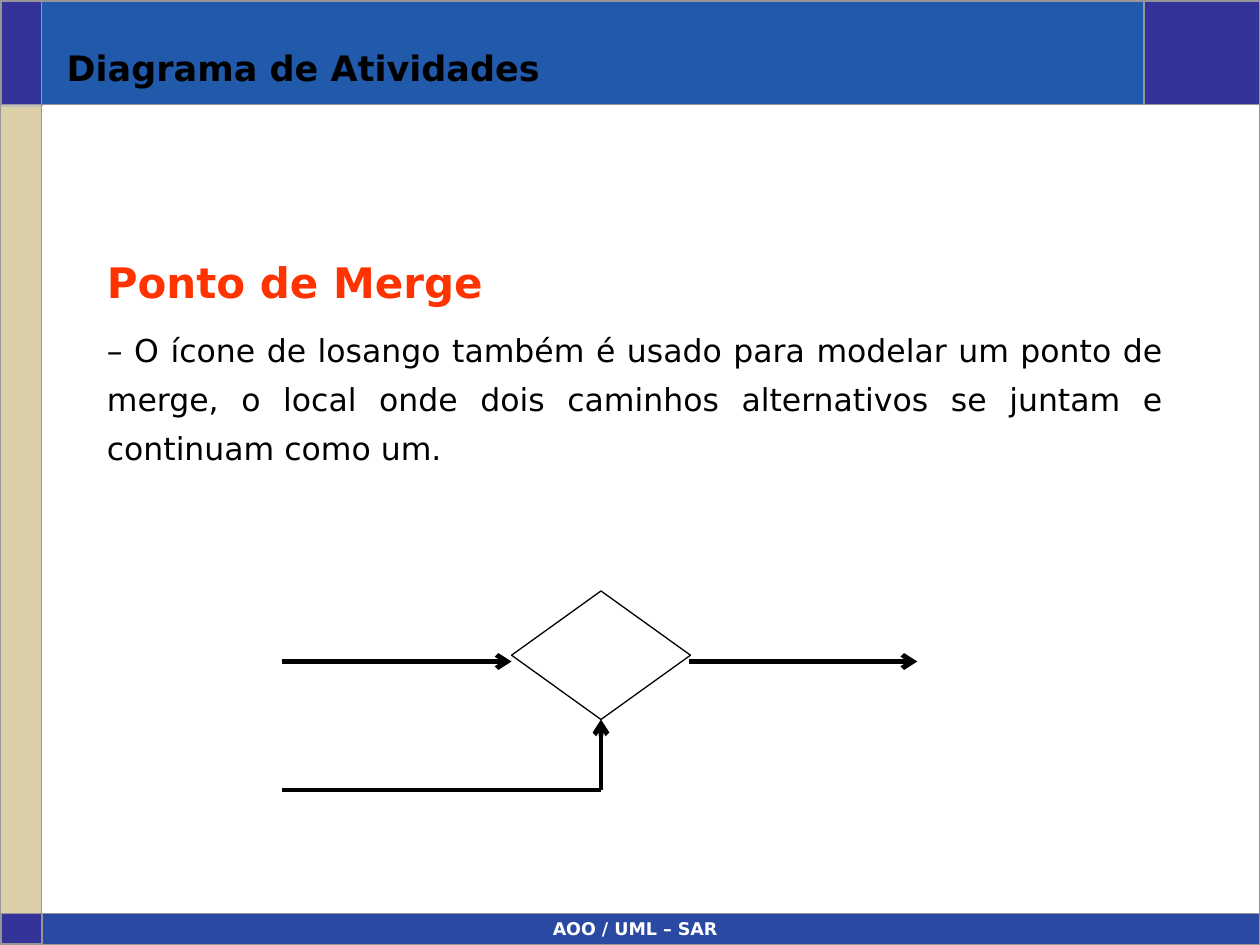
from lxml.etree import SubElement
from pptx import Presentation
from pptx.dml.color import RGBColor
from pptx.enum.shapes import MSO_CONNECTOR, MSO_SHAPE
from pptx.enum.text import MSO_ANCHOR, PP_ALIGN
from pptx.oxml.ns import qn
from pptx.util import Inches, Pt


def color(hex_string):
    return RGBColor.from_string(hex_string)


def add_line(start, end, line_color, width, arrow=False):
    connector = slide.shapes.add_connector(
        MSO_CONNECTOR.STRAIGHT, *[Inches(value) for value in (*start, *end)])
    connector.line.color.rgb = color(line_color)
    connector.line.width = Pt(width)
    if arrow:
        SubElement(connector.line._get_or_add_ln(), qn("a:tailEnd"), type="arrow")
    SubElement(connector._element.spPr, qn("a:effectLst"))
    return connector


presentation = Presentation()
presentation.slide_width = Inches(10)
presentation.slide_height = Inches(7.5)
slide = presentation.slides.add_slide(presentation.slide_layouts[6])

# Frame bands, then the merge diamond: preset, box, fill, line, line width
RECTANGLE = MSO_SHAPE.RECTANGLE
shapes = [
    (RECTANGLE, (0.01, 0.01, 0.33, 0.83), "333399", "969696", 0.75),
    (RECTANGLE, (0.33, 0, 9.67, 0.83), "2159AB", None, 0),
    (RECTANGLE, (0, 0.84, 0.33, 6.42), "DACFA6", "C0C0C0", 0.75),
    (RECTANGLE, (9.08, 0, 0.92, 0.83), "333399", None, 0),
    (RECTANGLE, (0.33, 7.25, 9.67, 0.25), "2949A3", None, 0),
    (RECTANGLE, (0.01, 7.25, 0.33, 0.24), "333399", "969696", 0.75),
    (RECTANGLE, (0, 0.01, 10, 7.49), None, "969696", 1),
    (MSO_SHAPE.DIAMOND, (4.06, 4.69, 1.42, 1.02), "FFFFFF", "000000", 0.75),
]
for preset, box, fill, line, width in shapes:
    shape = slide.shapes.add_shape(preset, *[Inches(value) for value in box])
    shape.shadow.inherit = False
    if fill:
        shape.fill.solid()
        shape.fill.fore_color.rgb = color(fill)
    else:
        shape.fill.background()
    if line:
        shape.line.color.rgb = color(line)
        shape.line.width = Pt(width)
    else:
        shape.line.fill.background()
diamond = shape

# Frame rules
for start, end in [
    ((9.08, 0), (9.08, 0.83)),
    ((0, 0.83), (10, 0.83)),
    ((0.33, 0), (0.33, 7.5)),
    ((0, 7.25), (10, 7.25)),
]:
    add_line(start, end, "969696", 1)

# Text: box, wording, size, colour, bold, alignment, line spacing, before, after
texts = [
    ((1.83, 7.24, 6.42, 0.25), "AOO / UML – SAR",
     10, "FFFFFF", True, PP_ALIGN.CENTER, 1, 0, 0),
    ((0.75, 1.91, 8.5, 0.58), "Ponto de Merge",
     24, "FF3300", True, PP_ALIGN.JUSTIFY, 1.2, 0, 6),
    ((0.75, 2.49, 8.58, 1.27),
     "– O ícone de losango também é usado para modelar um ponto de merge, "
     "o local onde dois caminhos alternativos se juntam e continuam como um.",
     18, "000000", False, PP_ALIGN.JUSTIFY, 1.3, 6.8, 0),
    ((0.43, 0.13, 8.58, 0.62), "Diagrama de Atividades",
     20, "000000", True, PP_ALIGN.LEFT, 1, 0, 0),
]
for box, wording, size, font_color, bold, alignment, spacing, before, after in texts:
    text_box = slide.shapes.add_textbox(*[Inches(value) for value in box])
    text_frame = text_box.text_frame
    text_frame.word_wrap = True
    paragraph = text_frame.paragraphs[0]
    paragraph.alignment = alignment
    paragraph.line_spacing = spacing
    paragraph.space_before = Pt(before)
    paragraph.space_after = Pt(after)
    run = paragraph.add_run()
    run.text = wording
    run.font.name = "DejaVu Sans"
    run.font.size = Pt(size)
    run.font.bold = bold
    run.font.color.rgb = color(font_color)
# The title, added last, sits at the bottom of its box
text_frame.vertical_anchor = MSO_ANCHOR.BOTTOM

# Two paths merge at the diamond and leave as one
add_line((2.24, 5.25), (4.06, 5.25), "000000", 2.75, arrow=True)
add_line((4.77, 6.27), (2.24, 6.27), "000000", 2.75)
lower_path = add_line((4.77, 6.27), (4.77, 5.71), "000000", 2.75, arrow=True)
lower_path.end_connect(diamond, 2)
add_line((5.47, 5.25), (7.28, 5.25), "000000", 2.75, arrow=True)

presentation.save("out.pptx")
